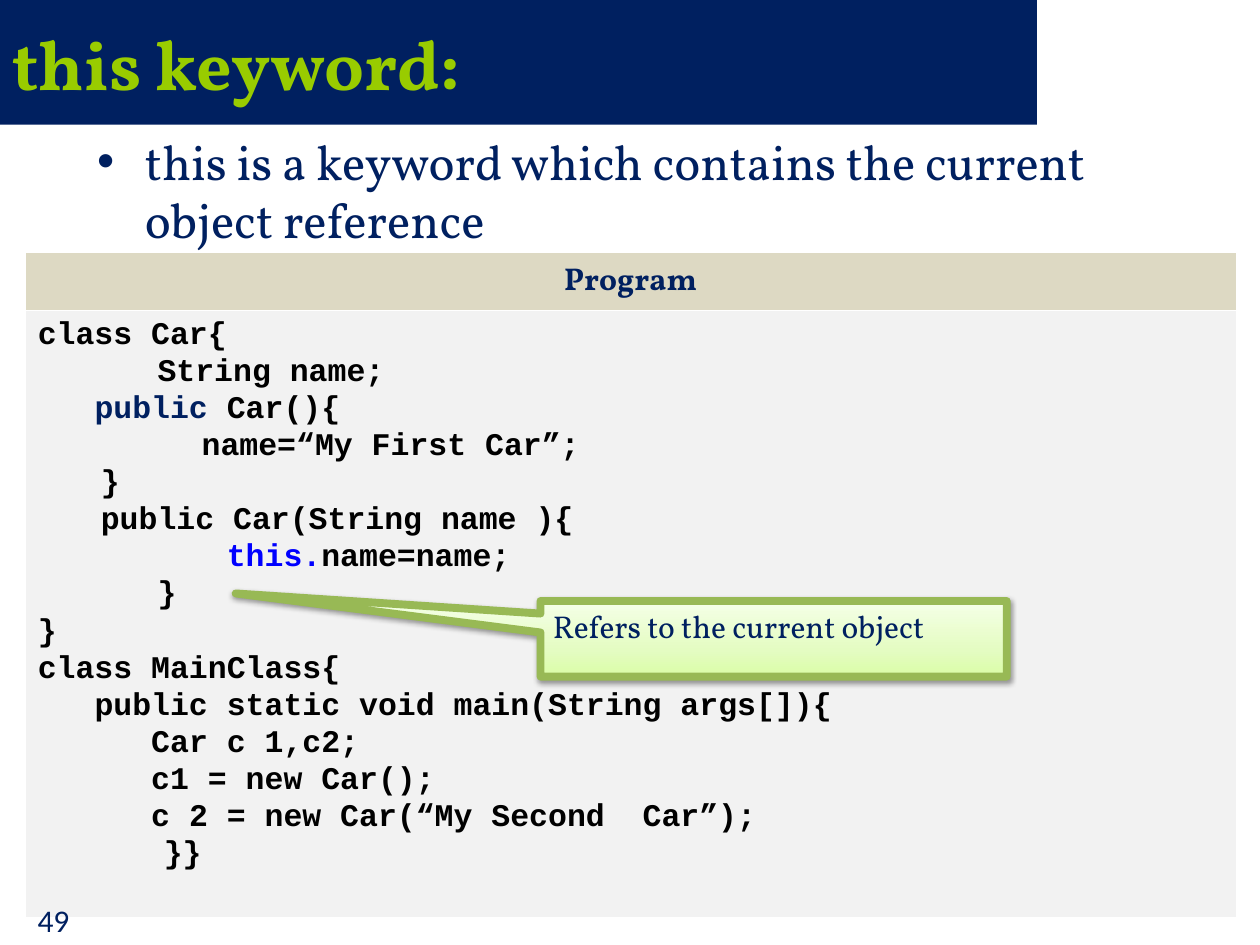
from typing import NamedTuple

from lxml import etree
from pptx import Presentation
from pptx import util as u
from pptx.dml.color import RGBColor
from pptx.enum import shapes, text
from pptx.oxml import parse_xml
from pptx.oxml.ns import nsdecls, qn

W, H = 10, 7.5
SERIF, MONO = "Vollkorn", "Courier New"
NAVY, BLACK, BLUE, WHITE = "002060", "000000", "0000FF", "FFFFFF"
CODE_SIZE = 18
CHAR = 0.15  # width of one code character, inches
TAB = 0.5


class Box(NamedTuple):
    """Left, top, width and height in inches."""
    left: float
    top: float
    width: float
    height: float


class Line(NamedTuple):
    """A line of code: tab stops and characters of indent, then (text, colour) tokens."""
    tabs: int
    chars: int
    tokens: tuple[tuple[str, str], ...]


def code(tabs: int, chars: int, words: str) -> Line:
    return Line(tabs, chars, ((words, BLACK),))


PROGRAM = [
    code(0, 0, "class Car{"),
    code(1, 3, "String name;"),
    Line(0, 3, (("public", NAVY), (" Car(){", BLACK))),
    code(2, 2, "name=“My First Car”;"),
    code(1, 0, "}"),
    code(1, 0, "public Car(String name ){"),
    Line(3, 0, (("this.", BLUE), ("name=name;", BLACK))),
    code(1, 3, "}"),
    code(0, 0, "}"),
    code(0, 0, "class MainClass{"),
    code(0, 3, "public static void main(String args[]){"),
    code(0, 6, "Car c 1,c2;"),
    code(0, 6, "c1 = new Car();"),
    code(0, 6, "c 2 = new Car(“My Second  Car”);"),
    code(2, 0, "}}"),
]


def rgb(value: str) -> RGBColor:
    return RGBColor.from_string(value)


def fill(target, colour: str) -> None:
    target.fill.solid()
    target.fill.fore_color.rgb = rgb(colour)


def style(run, font: str, size: float, colour: str, bold: bool = False) -> None:
    f = run.font
    f.name, f.size, f.bold = font, u.Pt(size), bold
    f.color.rgb = rgb(colour)


def place(sp, box: Box) -> None:
    sp.left, sp.top, sp.width, sp.height = map(u.Inches, box)


def write(tf, words: str, font: str, size: float, colour: str,
          bold: bool = False, align=text.PP_ALIGN.LEFT):
    tf.text = words
    tf.word_wrap = True
    p = tf.paragraphs[0]
    p.alignment = align
    style(p.runs[0], font, size, colour, bold)
    return p


def write_code(tf, lines: list[Line]) -> None:
    for i, line in enumerate(lines):
        p = tf.paragraphs[0] if i == 0 else tf.add_paragraph()
        p.line_spacing = 1.04
        indent = line.tabs * TAB + line.chars * CHAR
        p._p.get_or_add_pPr().set("marL", str(u.Inches(indent)))
        for words, colour in line.tokens:
            r = p.add_run()
            r.text = words
            style(r, MONO, CODE_SIZE, colour, True)


def border(cell, widths: dict[str, float]) -> None:
    tcPr = cell._tc.get_or_add_tcPr()
    for i, (side, width) in enumerate(widths.items()):
        tcPr.insert(i, parse_xml(
            f'<a:ln{side} {nsdecls("a")} w="{u.Pt(width)}"><a:solidFill>'
            f'<a:srgbClr val="{WHITE}"/></a:solidFill></a:ln{side}>'))


def add_program(slide) -> None:
    heights = (0.45, 4.82)
    box = Box(0.2, 2, 9.61, sum(heights))
    table = slide.shapes.add_table(2, 1, *map(u.Inches, box)).table
    for row, height in zip(table.rows, heights):
        row.height = u.Inches(height)
    head, body = table.cell(0, 0), table.cell(1, 0)
    fill(head, "DDD9C3")
    fill(body, "F2F2F2")
    head.vertical_anchor = text.MSO_ANCHOR.MIDDLE
    p = write(head.text_frame, "Program", SERIF, 18, NAVY, True, text.PP_ALIGN.CENTER)
    p.line_spacing = 1.04
    write_code(body.text_frame, PROGRAM)
    border(head, {"L": 0.23, "R": 0.23, "T": 0.23, "B": 0.75})
    border(body, {"L": 0.23, "R": 0.23, "T": 0.75})


def add_callout(slide, box: Box, words: str) -> None:
    sp = slide.shapes.add_shape(shapes.MSO_SHAPE.RECTANGULAR_CALLOUT, *map(u.Inches, box))
    sp.adjustments[0], sp.adjustments[1] = -1.154, -0.6
    sp.fill.gradient()
    sp.fill.gradient_angle = 90  # counter-clockwise: from bottom to top
    stops = sp._element.spPr.find(qn("a:gradFill")).find(qn("a:gsLst"))
    for stop in list(stops):
        stops.remove(stop)
    for share, colour in ((0, "DAFDA7"), (35, "E4FCC2"), (100, "F5FFE7")):
        gs = etree.SubElement(stops, qn("a:gs"), pos=str(share * 1000))
        etree.SubElement(gs, qn("a:srgbClr"), val=colour)
    sp.line.color.rgb = rgb("98B955")
    sp.line.width = u.Pt(4.5)
    sp.shadow.inherit = False
    sp._element.spPr.find(qn("a:effectLst")).append(parse_xml(
        f'<a:outerShdw {nsdecls("a")} blurRad="{u.Pt(3.1)}" dist="{u.Pt(1.6)}" '
        f'dir="5400000" rotWithShape="0"><a:srgbClr val="{BLACK}">'
        '<a:alpha val="38000"/></a:srgbClr></a:outerShdw>'))
    sp.text_frame.vertical_anchor = text.MSO_ANCHOR.TOP
    write(sp.text_frame, words, SERIF, 18, NAVY)


def main() -> None:
    prs = Presentation()
    prs.slide_width, prs.slide_height = u.Inches(W), u.Inches(H)
    slide = prs.slides.add_slide(prs.slide_layouts.get_by_name("Title and Content"))

    title, body = slide.placeholders
    place(title, Box(0, 0, 8.23, 0.99))
    fill(title, NAVY)
    title.text_frame.vertical_anchor = text.MSO_ANCHOR.MIDDLE
    write(title.text_frame, "this keyword:", SERIF, 40, "99CC00", True)

    place(body, Box(0.67, 0.99, 9, 4.95))
    p = write(body.text_frame, "this is a keyword which contains the current object reference",
              SERIF, 28, NAVY)
    pPr = p._p.get_or_add_pPr()
    pPr.set("marL", str(u.Inches(0.38)))
    pPr.set("indent", str(u.Inches(-0.38)))

    add_program(slide)
    add_callout(slide, Box(4.29, 4.77, 3.7, 0.6), "Refers to the current object")
    number = slide.shapes.add_textbox(*map(u.Inches, Box(0.2, 7.1, 0.63, 0.4)))
    write(number.text_frame, "49", "Calibri", 18, NAVY)
    prs.save("out.pptx")


if __name__ == "__main__":
    main()
